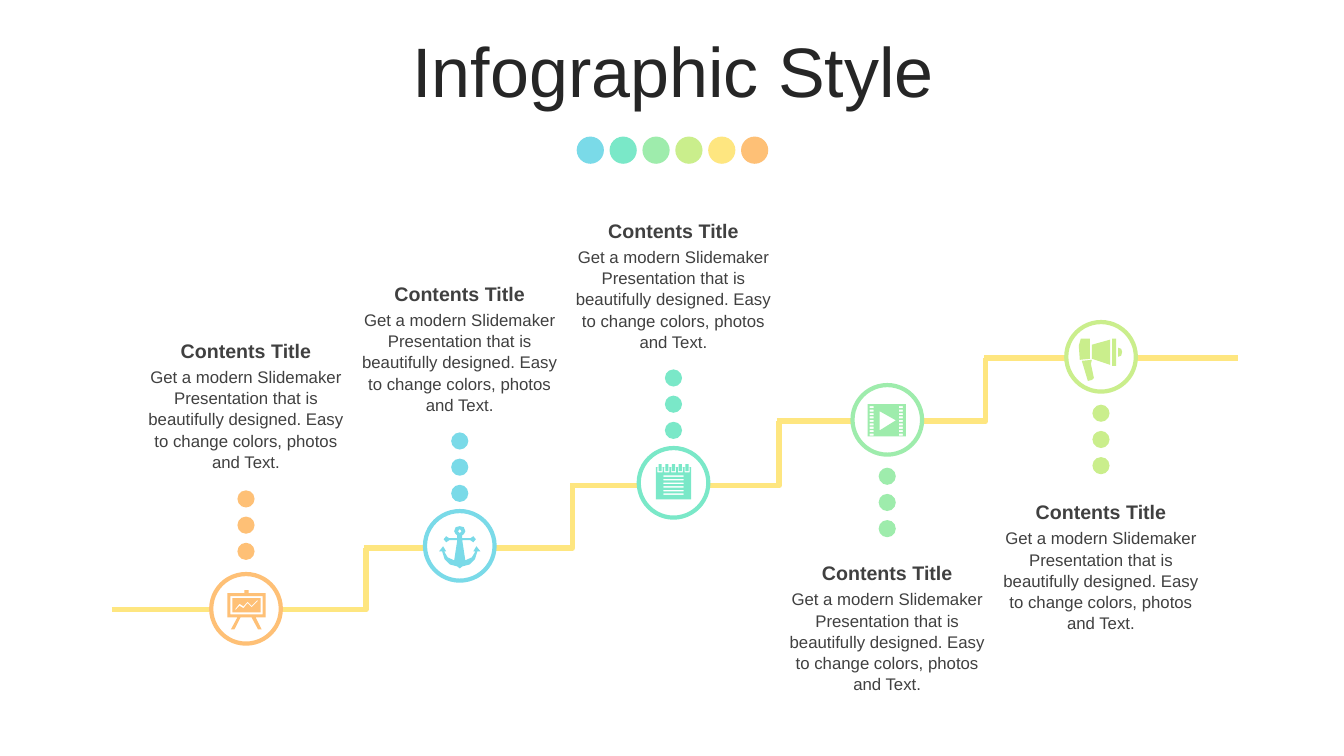
from itertools import pairwise

from lxml.etree import SubElement
from pptx import Presentation
from pptx.dml.color import RGBColor
from pptx.enum.shapes import MSO_CONNECTOR, MSO_SHAPE
from pptx.enum.text import MSO_ANCHOR, MSO_AUTO_SIZE, PP_ALIGN
from pptx.oxml.ns import qn
from pptx.util import Inches, Pt

COLORS = {
    "sky": "7ADAE8", "mint": "7AE8C8", "green": "9EECAC", "lime": "CAEE8C",
    "yellow": "FEE680", "orange": "FEC076", "white": "FFFFFF",
    "title": "262626", "text": "404040",
}
WIDTH, HEIGHT = 13.33, 7.5
FONT = "Arial"
BODY = ("Get a modern Slidemaker Presentation that is beautifully designed. "
        "Easy to change colors, photos and Text.")

FIRST_X, FIRST_Y = 2.44, 6.04
COLUMN, RISE = 2.12, 0.625
LEVELS = [6.05, 5.44, 4.82, 4.18, 3.55]
STAIR_LEFT, STAIR_RIGHT = 1.11, 12.28
FIRST_RISER, TREAD, OVERLAP = 3.63, 2.05, 0.02


def rectangle(left, top, width, height):
    right, bottom = left + width, top + height
    return [(left, top), (right, top), (right, bottom), (left, bottom)]


def easel_icon():
    return [
        [(-1.5, -18.5), (2.5, -18.5), (2.5, -15.5), (19.5, -15.5),
         (19.5, 8.5), (9.5, 8.5), (15.5, 20.5), (12, 20.5), (5.5, 8.5),
         (-5.5, 8.5), (-11.5, 20.5), (-15, 20.5), (-8.5, 8.5),
         (-18.5, 8.5), (-18.5, -15.5), (-1.5, -15.5)],
        rectangle(-15.5, -12.5, 32, 18),
        rectangle(-13.5, -10.5, 28, 14),
        [(-10.5, 0), (-6.5, -5), (-2.5, -2.5), (1.5, -7), (5.5, -3),
         (11.5, -9), (11.5, -7.5), (5.5, -1.5), (1.5, -5.5),
         (-2.5, -0.5), (-6.5, -3), (-10.5, 1.5)],
    ]


def anchor_icon():
    half = [(0, -19.5), (4, -18.5), (5.5, -14.5), (4, -11.5), (2.5, -10.5),
            (2.5, -7.5), (10.5, -7.5), (13.5, -9.5), (16, -6.5),
            (13.5, -3.5), (10.5, -5.5), (2.5, -5.5), (5.5, 14.5),
            (12, 11.5), (15.5, 5.5), (13.5, 5.5), (16.5, 0.5),
            (20.5, 5.5), (17.5, 5.5), (15, 13.5), (10, 18.5),
            (2.5, 20.5), (0, 22.5)]
    mirrored = [(-x, y) for x, y in reversed(half[1:-1])]
    hole = [(0, -16.5), (1.8, -14.5), (0, -12.5), (-1.8, -14.5)]
    return [half + mirrored, hole]


def notepad_icon():
    rows = [rectangle(-10, -7.5 + 3.6 * row, 20, 1.5) for row in range(6)]
    centers = [-13.4 + 6.7 * ring for ring in range(5)]
    notches = [rectangle(x - 2.5, -15.5, 5, 5) for x in centers]
    rings = [rectangle(x - 1.5, -18.5, 3, 7) for x in centers]
    return [rectangle(-17.5, -15.5, 35, 32)] + rows + notches + rings


def film_icon():
    holes = [rectangle(x, -13.5 + 3.4 * row, 4, 2)
             for x in (-17.5, 11.5) for row in range(9)]
    play = [(-7.5, -8.5), (8.5, 0.5), (-7.5, 10.5)]
    return [rectangle(-19.5, -15.5, 38, 32), play] + holes


def megaphone_icon():
    return [
        [(-22, -11), (-20, -18), (-11, -18), (-11, 2), (-21, 3)],
        [(-9, -12), (9, -17), (9, 8), (-9, 2)],
        rectangle(11, -18, 4, 27),
        [(17, -9), (20, -8), (21, -5), (20, -1), (17, 0)],
        [(-19, 4), (-9, 3), (-10, 7), (-7, 21), (-9, 23), (-13, 24)],
    ]


STEPS = [
    ("orange", easel_icon, -1, 0.57, -2.73),
    ("sky", anchor_icon, -1, 0.52, -2.67),
    ("mint", notepad_icon, -1, 0.52, -2.67),
    ("green", film_icon, 1, 0.56, 1.35),
    ("lime", megaphone_icon, 1, 0.56, 1.37),
]


def rgb(name):
    return RGBColor.from_string(COLORS[name])


def add_circle(page, x, y, size, fill, line=None):
    circle = page.shapes.add_shape(
        MSO_SHAPE.OVAL, Inches(x - size / 2), Inches(y - size / 2),
        Inches(size), Inches(size))
    circle.shadow.inherit = False
    circle.fill.solid()
    circle.fill.fore_color.rgb = rgb(fill)
    if line:
        circle.line.color.rgb = rgb(line)
        circle.line.width = Pt(3)
    else:
        circle.line.fill.background()


def add_outline(page, contours, x, y, unit, closed):
    scaled = [[(px * unit * 1000, py * unit * 1000) for px, py in contour]
              for contour in contours]
    builder = page.shapes.build_freeform(*scaled[0][0], scale=Inches(0.001))
    for contour in scaled:
        if contour is not scaled[0]:
            builder.move_to(*contour[0])
        builder.add_line_segments(contour[1:], close=closed)
    shape = builder.convert_to_shape(Inches(x), Inches(y))
    shape.shadow.inherit = False
    return shape


def add_text(page, box, text, size, margin, bold=False, spacing=1.0):
    frame = page.shapes.add_textbox(*map(Inches, box)).text_frame
    frame.word_wrap = True
    frame.margin_left = frame.margin_right = Inches(margin)
    para = frame.paragraphs[0]
    para.text = text
    para.alignment = PP_ALIGN.CENTER
    para.line_spacing = spacing
    style_font(para.font, size, "text", bold)


def style_font(font, size, color, bold=False):
    font.name = FONT
    font.size = Pt(size)
    font.bold = bold
    font.color.rgb = rgb(color)


def add_heading(page, box):
    title = page.shapes.title
    title.left, title.top, title.width, title.height = map(Inches, box)
    frame = title.text_frame
    frame.auto_size = MSO_AUTO_SIZE.NONE
    frame.vertical_anchor = MSO_ANCHOR.MIDDLE
    para = frame.paragraphs[0]
    para.text = "Infographic Style"
    para.alignment = PP_ALIGN.CENTER
    para.line_spacing = 0.8
    style_font(para.font, 50, "title")
    dots = ("sky", "mint", "green", "lime", "yellow", "orange")
    pitch = 1.63 / (len(dots) - 1)
    for index, color in enumerate(dots):
        add_circle(page, 5.855 + index * pitch, 1.49, 0.27, color)


def add_staircase(page):
    left = STAIR_LEFT
    for index, (low, high) in enumerate(pairwise(LEVELS)):
        right = FIRST_RISER + index * TREAD
        stair = add_outline(page, [[(left, low), (right, low), (right, high)]],
                            0, 0, 1, closed=False)
        stair.fill.background()
        stair.line.color.rgb = rgb("yellow")
        stair.line.width = Pt(4)
        left = right - OVERLAP
    landing = page.shapes.add_connector(
        MSO_CONNECTOR.STRAIGHT, Inches(left), Inches(LEVELS[-1]),
        Inches(STAIR_RIGHT), Inches(LEVELS[-1]))
    landing.line.color.rgb = rgb("yellow")
    landing.line.width = Pt(4)
    SubElement(landing._element.spPr, qn("a:effectLst"))


def add_step(page, x, y, color, icon, side, dot_gap, caption_offset):
    add_circle(page, x, y, 0.69, "white", color)
    for index in range(3):
        add_circle(page, x, y + side * (dot_gap + 0.26 * index), 0.17, color)
    top = y + caption_offset
    add_text(page, (x - 1.1, top + 0.27, 2.2, 1.11), BODY, 12, 0.1,
             spacing=1.05)
    add_text(page, (x - 1.1, top, 2.2, 0.34), "Contents Title", 14, 0.12,
             bold=True)
    drawing = add_outline(page, icon(), x, y, 0.01, closed=True)
    drawing.fill.solid()
    drawing.fill.fore_color.rgb = rgb(color)
    drawing.line.fill.background()


def main():
    deck = Presentation()
    deck.slide_width, deck.slide_height = Inches(WIDTH), Inches(HEIGHT)
    page = deck.slides.add_slide(deck.slide_layouts[5])
    add_heading(page, (0.35, 0.37, 12.66, 0.79))
    add_staircase(page)
    for index, step in enumerate(STEPS):
        add_step(page, FIRST_X + index * COLUMN, FIRST_Y - index * RISE, *step)
    deck.save("out.pptx")


if __name__ == "__main__":
    main()
